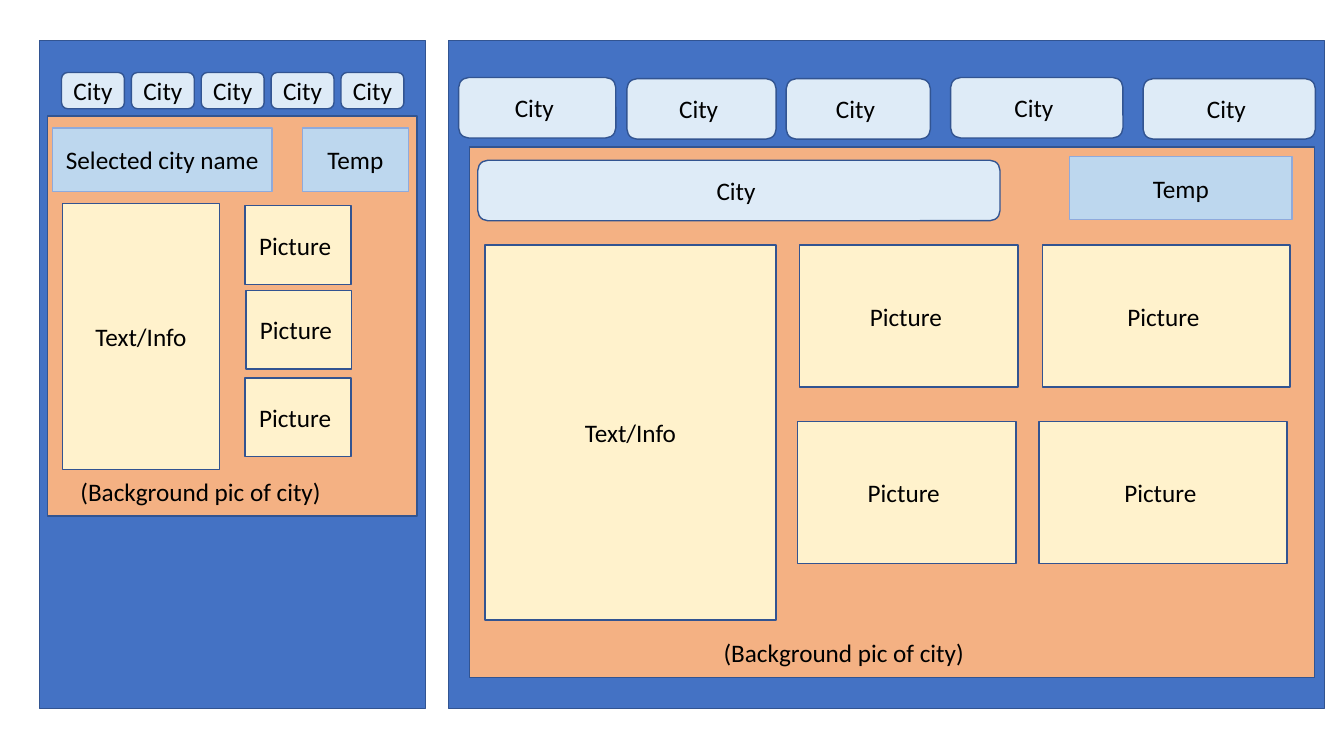
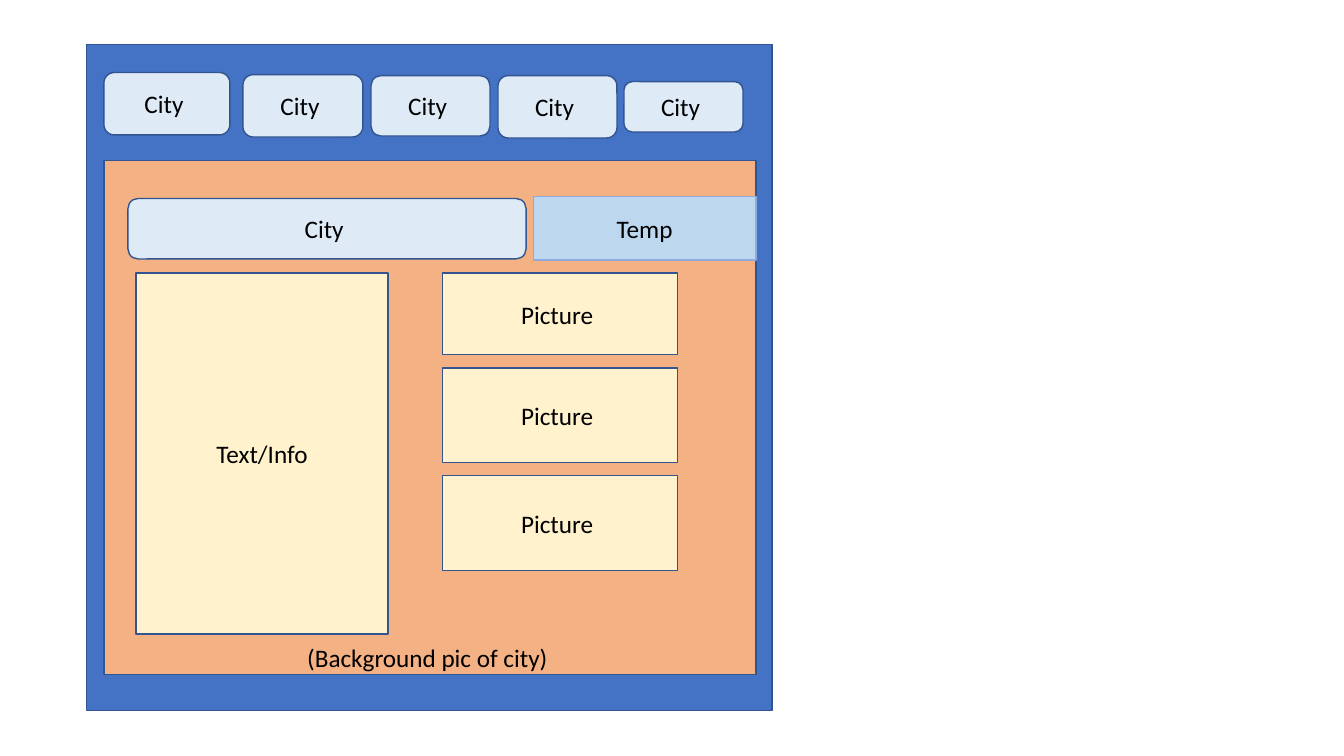
from pptx import Presentation, util as u
from pptx.dml.color import RGBColor
from pptx.enum import shapes, text

COLORS = {
    "frame": "4472C4", "backdrop": "F4B183", "city": "DEEBF7",
    "header": "BDD7EE", "content": "FFF2CC", "white": "FFFFFF",
    "outline": "325491", "header_outline": "8FAADC", "ink": "000000",
}
FONT, FONT_SIZE = "Calibri", 18
CAPTION = "(Background pic of city)"
CAPTION_SIZE = (230.4, 28.8)

# Each box is left, top, width, height in points.
WIDE = {
    "frame": (320.4, 28.8, 625.7, 477.4),
    "backdrop": (335.5, 105.1, 603.4, 378.7),
    "cities": [(327.6, 55.4, 112.3, 43.2), (447.8, 56.2, 106.6, 43.2),
               (561.6, 56.2, 103, 43.2), (679, 55.4, 123.1, 43.2),
               (816.5, 56.2, 123.1, 43.2)],
    "heading": ("City ", "city", (341.3, 114.5, 373, 43.2)),
    "temp": (763.9, 111.6, 159.1, 45.4),
    "info": (346.3, 175, 208.1, 267.8),
    "pictures": [(571, 175, 156.2, 101.5), (744.5, 175, 177.1, 101.5),
                 (569.5, 301, 156.2, 101.5), (742.3, 301, 177.1, 101.5)],
    "caption": (509.8, 451.4),
}
PHONE = {
    "frame": (28.1, 28.8, 275.8, 477.4),
    "backdrop": (33.8, 82.8, 264.2, 285.8),
    "cities": [(44 + 49.9 * column, 51.8, 44.9, 25.9) for column in range(5)],
    "heading": ("Selected city name", "header", (37.4, 91.4, 157, 45.4)),
    "temp": (216, 91.4, 75.6, 45.4),
    "info": (44.6, 145.4, 112.3, 190.1),
    "pictures": [(175, 146.9, 75.6, 56.2), (175.7, 207.4, 75.6, 56.2),
                 (175, 270, 75.6, 56.2)],
    "caption": (50.4, 337),
}
TABLET = {
    "frame": (61.9, 31.7, 489.6, 475.9),
    "backdrop": (74.2, 114.5, 465.8, 367.2),
    "cities": [(74.2, 51.8, 90, 44.6), (173.5, 53.3, 85.7, 44.6),
               (265, 54, 85, 43.2), (355.7, 54, 85, 44.6),
               (445.7, 58.3, 85, 36)],
    "heading": ("City ", "city", (91.4, 141.8, 284.4, 43.2)),
    "temp": (380.9, 140.4, 159.1, 45.4),
    "info": (97.2, 195.1, 180, 257.8),
    "pictures": [(316.1, 195.1, 167.8, 58.3), (316.1, 262.8, 167.8, 67.7),
                 (316.1, 339.8, 167.8, 67.7)],
    "caption": (212.4, 455),
}
SLIDES = [[WIDE, PHONE], [TABLET]]


def color(name):
    """Look up a named colour."""
    return RGBColor.from_string(COLORS[name])


def points(box):
    """Turn plain numbers into point lengths."""
    return [u.Pt(length) for length in box]


def write(frame, label, align):
    """Put one line of label text into a text frame."""
    frame.word_wrap = True
    paragraph = frame.paragraphs[0]
    paragraph.text = label
    paragraph.alignment = align
    paragraph.font.name = FONT
    paragraph.font.size = u.Pt(FONT_SIZE)
    paragraph.font.color.rgb = color("ink")


def add_block(slide, role, box, label=""):
    """Add one outlined block, rounded for cities, with a centred label."""
    preset = shapes.MSO_SHAPE
    outline = preset.ROUNDED_RECTANGLE if role == "city" else preset.RECTANGLE
    block = slide.shapes.add_shape(outline, *points(box))
    block.shadow.inherit = False
    block.fill.solid()
    block.fill.fore_color.rgb = color(role)
    edge = "header_outline" if role == "header" else "outline"
    block.line.color.rgb = color(edge)
    block.line.width = u.Pt(1)
    if label:
        block.text_frame.vertical_anchor = text.MSO_ANCHOR.MIDDLE
        write(block.text_frame, label, text.PP_ALIGN.CENTER)


def add_caption(slide, corner):
    """Add the note about the background."""
    caption = slide.shapes.add_textbox(*points(corner + CAPTION_SIZE))
    caption.text_frame.auto_size = text.MSO_AUTO_SIZE.SHAPE_TO_FIT_TEXT
    write(caption.text_frame, CAPTION, text.PP_ALIGN.LEFT)


def add_screen(slide, screen):
    """Build one screen wireframe from back to front."""
    add_block(slide, "frame", screen["frame"])
    add_block(slide, "backdrop", screen["backdrop"])
    for city in screen["cities"]:
        add_block(slide, "city", city, "City ")
    label, role, box = screen["heading"]
    add_block(slide, role, box, label)
    add_block(slide, "header", screen["temp"], "Temp")
    add_block(slide, "content", screen["info"], "Text/Info")
    for picture in screen["pictures"]:
        add_block(slide, "content", picture, "Picture ")
    add_caption(slide, screen["caption"])


deck = Presentation()
deck.slide_width, deck.slide_height = u.Pt(960), u.Pt(540)
background = deck.slide_master.background.fill
background.solid()
background.fore_color.rgb = color("white")
blank = deck.slide_layouts.get_by_name("Blank")
for screens in SLIDES:
    slide = deck.slides.add_slide(blank)
    for screen in screens:
        add_screen(slide, screen)
deck.save("out.pptx")
